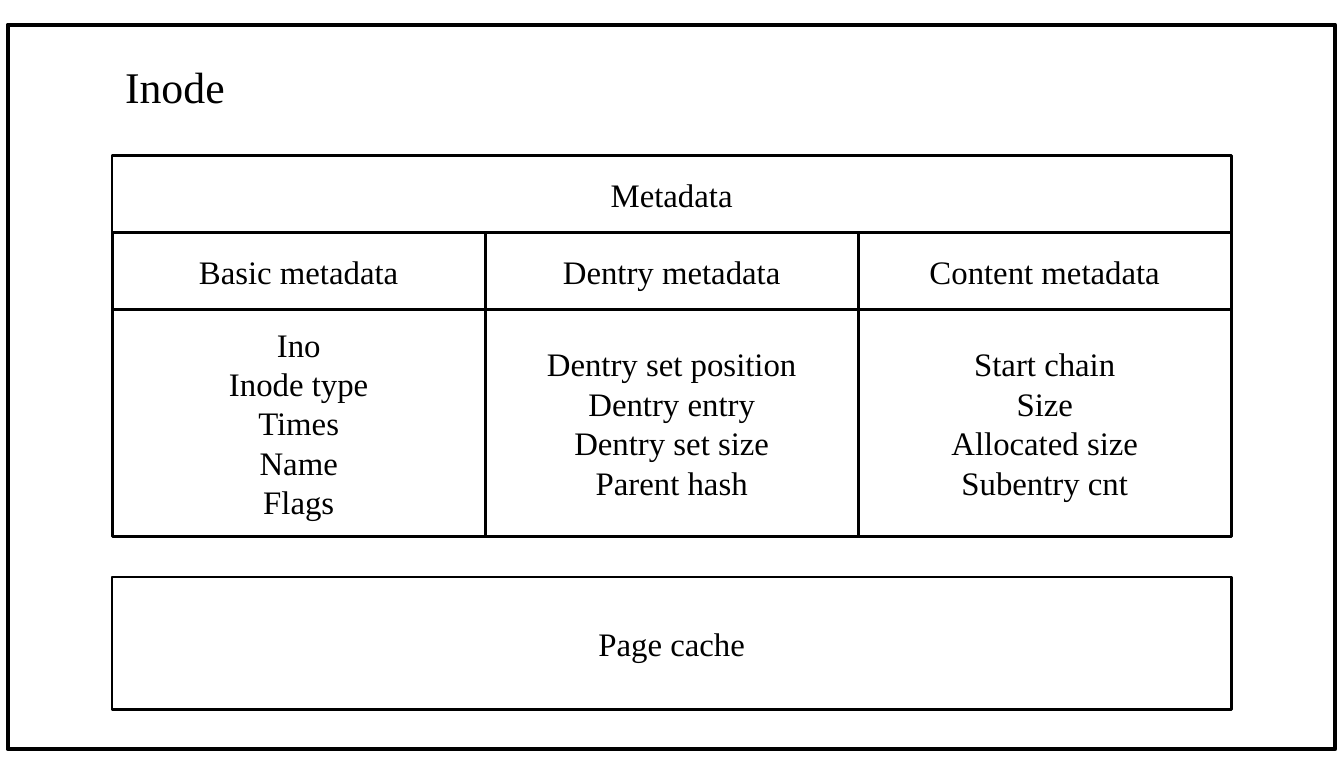
import pptx
import pptx.util
import pptx.dml.color
import pptx.enum.shapes
import pptx.enum.text

COLORS = {"ink": "000000", "paper": "FFFFFF"}
FONT = "Times New Roman"
SLIDE_WIDTH, SLIDE_HEIGHT = 26, 15
HEADER_HEIGHT = 1.49
METADATA = {
    "Basic metadata": ["Ino", "Inode type", "Times", "Name", "Flags"],
    "Dentry metadata": ["Dentry set position", "Dentry entry", "Dentry set size", "Parent hash"],
    "Content metadata": ["Start chain", "Size", "Allocated size", "Subentry cnt"],
}


def color(name):
    return pptx.dml.color.RGBColor.from_string(COLORS[name])


def centimetres(box):
    return [pptx.util.Cm(length) for length in box]


def write_lines(frame, lines, size, alignment):
    for index, line in enumerate(lines):
        paragraph = frame.paragraphs[0] if index == 0 else frame.add_paragraph()
        paragraph.alignment = alignment
        run = paragraph.add_run()
        run.text = line
        run.font.size = pptx.util.Pt(size)
        run.font.name = FONT
        run.font.color.rgb = color("ink")


def add_block(inode, box, lines=(), line_width=1.5, filled=True):
    block = inode.shapes.add_shape(pptx.enum.shapes.MSO_SHAPE.RECTANGLE, *centimetres(box))
    block.shadow.inherit = False
    if filled:
        block.fill.solid()
        block.fill.fore_color.rgb = color("paper")
    else:
        block.fill.background()
    block.line.color.rgb = color("ink")
    block.line.width = pptx.util.Pt(line_width)
    block.text_frame.vertical_anchor = pptx.enum.text.MSO_ANCHOR.MIDDLE
    write_lines(block.text_frame, lines, 18, pptx.enum.text.PP_ALIGN.CENTER)


def add_title(inode, box):
    title = inode.shapes.add_textbox(*centimetres(box)).text_frame
    title.word_wrap = True
    title.auto_size = pptx.enum.text.MSO_AUTO_SIZE.SHAPE_TO_FIT_TEXT
    write_lines(title, ["Inode"], 24, pptx.enum.text.PP_ALIGN.LEFT)


def add_metadata(inode, box):
    left, top, width, height = box
    column_width = width / len(METADATA)
    names_top = top + HEADER_HEIGHT
    fields_top = names_top + HEADER_HEIGHT
    fields_height = height - 2 * HEADER_HEIGHT
    for column, (name, fields) in enumerate(METADATA.items()):
        column_left = left + column * column_width
        add_block(inode, (column_left, fields_top, column_width, fields_height), fields)
        add_block(inode, (column_left, names_top, column_width, HEADER_HEIGHT), [name])
    add_block(inode, (left, top, width, HEADER_HEIGHT), ["Metadata"])


def add_inode(slide, box):
    left, top, width, height = box
    inode = slide.shapes.add_group_shape()
    add_block(inode, box, line_width=2.25, filled=False)
    inner_left, inner_width = left + 2.02, 21.65
    add_title(inode, (inner_left, top + 0.55, 3.5, 1.28))
    add_metadata(inode, (inner_left, top + 2.53, inner_width, 7.37))
    add_block(inode, (inner_left, top + 10.69, inner_width, 2.57), ["Page cache"])


def main():
    deck = pptx.Presentation()
    deck.slide_width, deck.slide_height = centimetres((SLIDE_WIDTH, SLIDE_HEIGHT))
    slide = deck.slides.add_slide(deck.slide_layouts[6])
    add_inode(slide, (0.15, 0.48, 25.68, 14.02))
    deck.save("out.pptx")


if __name__ == "__main__":
    main()
